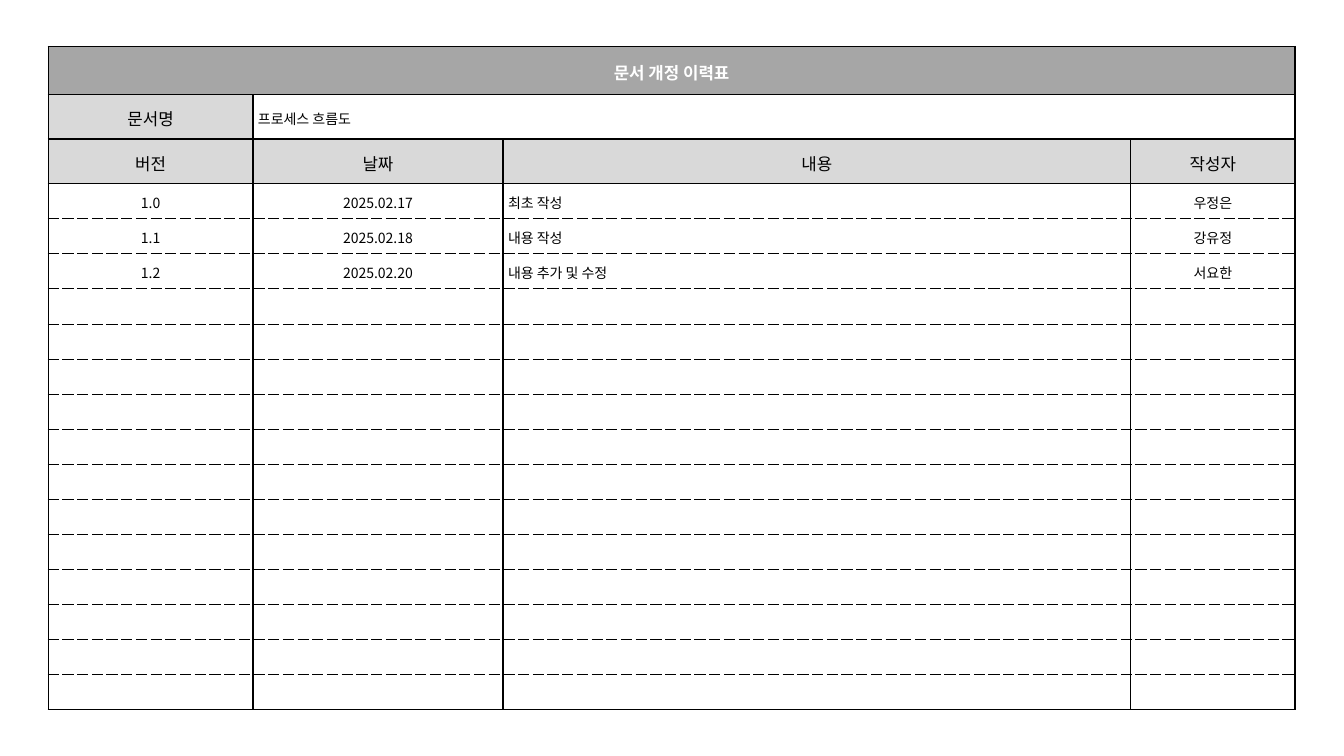
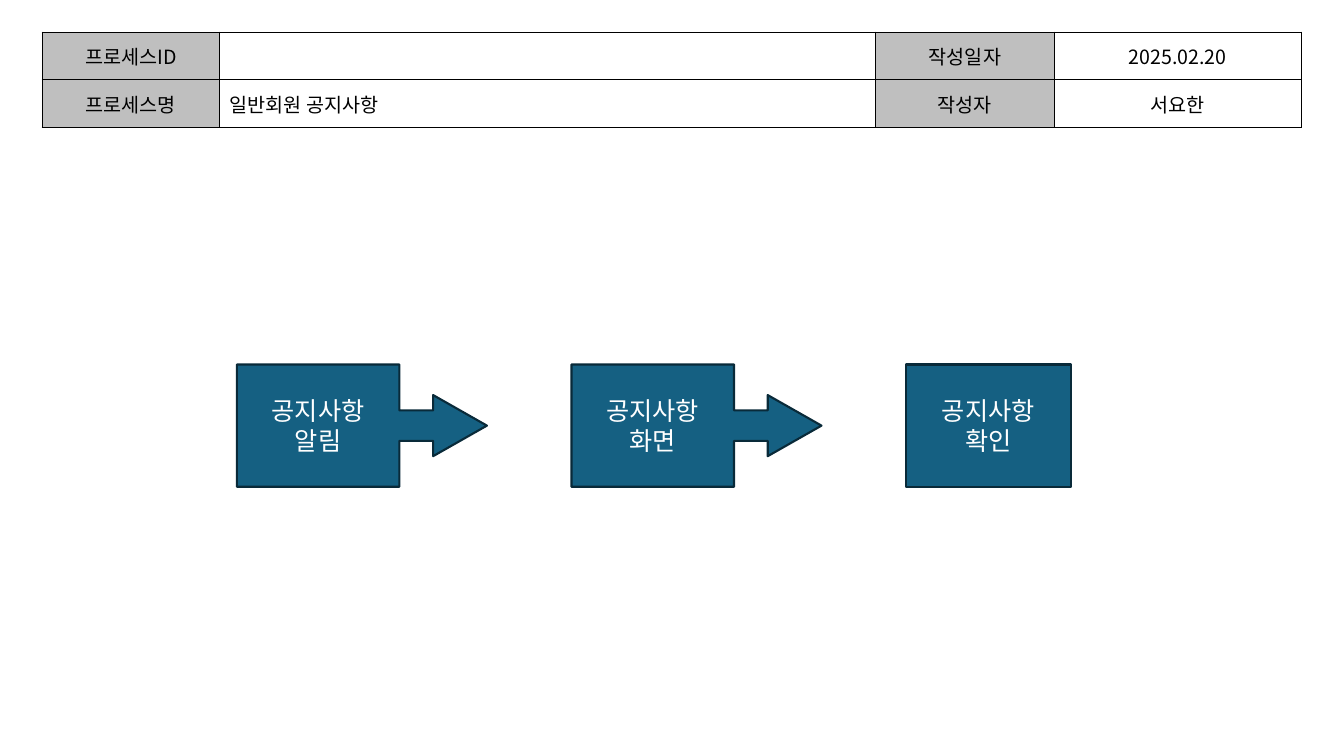
from dataclasses import dataclass
from typing import Optional

from pptx import Presentation
from pptx.dml.color import RGBColor as RGB
from pptx.enum.shapes import MSO_SHAPE as Kind
from pptx.enum.text import MSO_ANCHOR as Anchor, PP_ALIGN as Align
from pptx.oxml.xmlchemy import OxmlElement as Node
from pptx.util import Pt

FONT = "Noto Sans CJK KR"
BLACK = RGB(0x00, 0x00, 0x00)
WHITE = RGB(0xFF, 0xFF, 0xFF)
DARK = RGB(0xA6, 0xA6, 0xA6)
GRAY = RGB(0xBF, 0xBF, 0xBF)
LIGHT = RGB(0xD9, 0xD9, 0xD9)
BLUE = RGB(0x15, 0x60, 0x82)
NAVY = RGB(0x09, 0x2A, 0x39)
PLAIN = "{2D5ABB26-0587-4C30-8999-92F81FD0307C}"


@dataclass
class Line:
    width: float = 1
    dash: str = "solid"


SOLID = Line()
DASH = Line(0.25, "sysDash")


@dataclass
class Cell:
    text: str = ""
    fill: Optional[RGB] = None
    size: float = 10
    align: Align = Align.CENTER
    color: RGB = BLACK
    bold: bool = False
    span: int = 1


@dataclass
class Step:
    text: str
    kind: Kind
    width: float


def write(frame, text: str, *, size: float, color: RGB = BLACK, bold: bool = False,
          align: Align = Align.CENTER, space: Optional[float] = None) -> None:
    """Fill a text frame, one paragraph for each line of text."""
    for i, part in enumerate(text.split("\n")):
        para = frame.add_paragraph() if i else frame.paragraphs[0]
        para.alignment, para.line_spacing = align, space
        if not part:  # keeps an empty row low
            end = Node("a:endParaRPr")
            end.set("sz", str(int(size * 100)))
            para._p.append(end)
            continue
        run = para.add_run()
        run.text = part
        font = run.font
        font.size, font.bold, font.name = Pt(size), bold, FONT
        font.color.rgb = color
        east = Node("a:ea")
        east.set("typeface", FONT)
        run._r.get_or_add_rPr().append(east)


def edge(cell, side: str, line: Optional[Line]) -> None:
    """Draw one cell border, or clear it."""
    ln = Node(f"a:ln{side}")
    if line:
        ln.set("w", str(Pt(line.width)))
        fill, color, dash = Node("a:solidFill"), Node("a:srgbClr"), Node("a:prstDash")
        color.set("val", str(BLACK))
        dash.set("val", line.dash)
        fill.append(color)
        ln.append(fill)
        ln.append(dash)
    else:
        ln.append(Node("a:noFill"))
    cell._tc.get_or_add_tcPr().append(ln)


def grid(slide, left: float, top: float, cols: list[float], rows: list[float],
         cells: list[list[Cell]], rules: list[Optional[Line]], sides: list[Optional[Line]],
         pad: tuple[float, float] = (7.2, 3.6), space: Optional[float] = None) -> None:
    """Draw a table; rules are the lines above, between and below its rows."""
    table = slide.shapes.add_table(len(rows), len(cols), Pt(left), Pt(top),
                                   Pt(sum(cols)), Pt(sum(rows))).table
    table.first_row = table.horz_banding = False
    table._tbl.tblPr.find("{*}tableStyleId").text = PLAIN
    for col, width in zip(table.columns, cols):
        col.width = Pt(width)
    for r, (height, items) in enumerate(zip(rows, cells)):
        table.rows[r].height = Pt(height)
        for c in range(len(cols)):
            for side, line in zip("LRTB", (sides[r], sides[r], rules[r], rules[r + 1])):
                edge(table.cell(r, c), side, line)
        c = 0
        for item in items:
            cell = table.cell(r, c)
            if item.span > 1:
                cell.merge(table.cell(r, c + item.span - 1))
            c += item.span
            if item.fill is None:
                cell.fill.background()
            else:
                cell.fill.solid()
                cell.fill.fore_color.rgb = item.fill
            cell.vertical_anchor = Anchor.MIDDLE
            cell.margin_left = cell.margin_right = Pt(pad[0])
            cell.margin_top = cell.margin_bottom = Pt(pad[1])
            write(cell.text_frame, item.text, size=item.size, color=item.color,
                  bold=item.bold, align=item.align, space=space)


def log(slide) -> None:
    """Revision history."""
    edits = [
        ("1.0", "2025.02.17", "최초 작성", "우정은"),
        ("1.1", "2025.02.18", "내용 작성", "강유정"),
        ("1.2", "2025.02.20", "내용 추가 및 수정", "서요한"),
    ]
    count = 15
    edits += [("",) * 4] * (count - len(edits))
    aligns = (Align.CENTER, Align.CENTER, Align.JUSTIFY, Align.CENTER)
    cells = [
        [Cell("문서 개정 이력표", DARK, 12, color=WHITE, bold=True, span=4)],
        [Cell("문서명", LIGHT, 12), Cell("프로세스 흐름도", align=Align.LEFT, span=3)],
        [Cell(head, LIGHT, 12) for head in ("버전", "날짜", "내용", "작성자")],
    ]
    cells += [[Cell(text, align=align) for text, align in zip(edit, aligns)]
              for edit in edits]
    rows = [34.5, 31.7, 31.7] + [25.06] * count
    rules = [SOLID] * 4 + [DASH] * (count - 1) + [SOLID]
    grid(slide, 34.5, 33.1, [146.2, 178.6, 448.4, 117.4], rows, cells, rules,
         [SOLID] * len(rows), pad=(3.6, 0), space=1.15)


def flow(slide) -> None:
    """Process header and its steps."""
    pairs = [
        ("프로세스ID", "", "작성일자", "2025.02.20"),
        ("프로세스명", "일반회원 공지사항", "작성자", "서요한"),
    ]
    looks = ((GRAY, Align.CENTER), (None, Align.LEFT)) + ((GRAY, Align.CENTER), (None, Align.CENTER))
    cells = [[Cell(text, fill, 14, align) for text, (fill, align) in zip(pair, looks)]
             for pair in pairs]
    cells.append([Cell(size=14, span=4)])
    grid(slide, 30.2, 23, [126.7, 468.7, 127.5, 176.4], [34, 34, 423.4], cells,
         [SOLID, SOLID, SOLID, None], [SOLID, SOLID, None])

    # Steps, left to right at an equal pitch
    call = Kind.RIGHT_ARROW_CALLOUT
    steps = [
        Step("공지사항\n알림", call, 178.6),
        Step("공지사항\n화면", call, 178.6),
        Step("공지사항\n확인", Kind.FLOWCHART_PROCESS, 117.5),
    ]
    for i, step in enumerate(steps):
        box = slide.shapes.add_shape(step.kind, Pt(169.2 + 239 * i), Pt(260.4),
                                     Pt(step.width), Pt(87.3))
        if step.kind == call:
            for n, value in enumerate((0.25, 0.25, 0.44, 0.65)):
                box.adjustments[n] = value
        box.shadow.inherit = False
        box.fill.solid()
        box.fill.fore_color.rgb = BLUE
        box.line.color.rgb = NAVY
        box.line.width = Pt(1.5)
        frame = box.text_frame
        frame.word_wrap = True
        frame.vertical_anchor = Anchor.MIDDLE
        write(frame, step.text, size=18, color=WHITE)


def main() -> None:
    deck = Presentation()
    deck.slide_width, deck.slide_height = Pt(960), Pt(540)
    blank = deck.slide_layouts[6]
    for draw in (log, flow):
        draw(deck.slides.add_slide(blank))
    deck.save("out.pptx")


if __name__ == "__main__":
    main()
